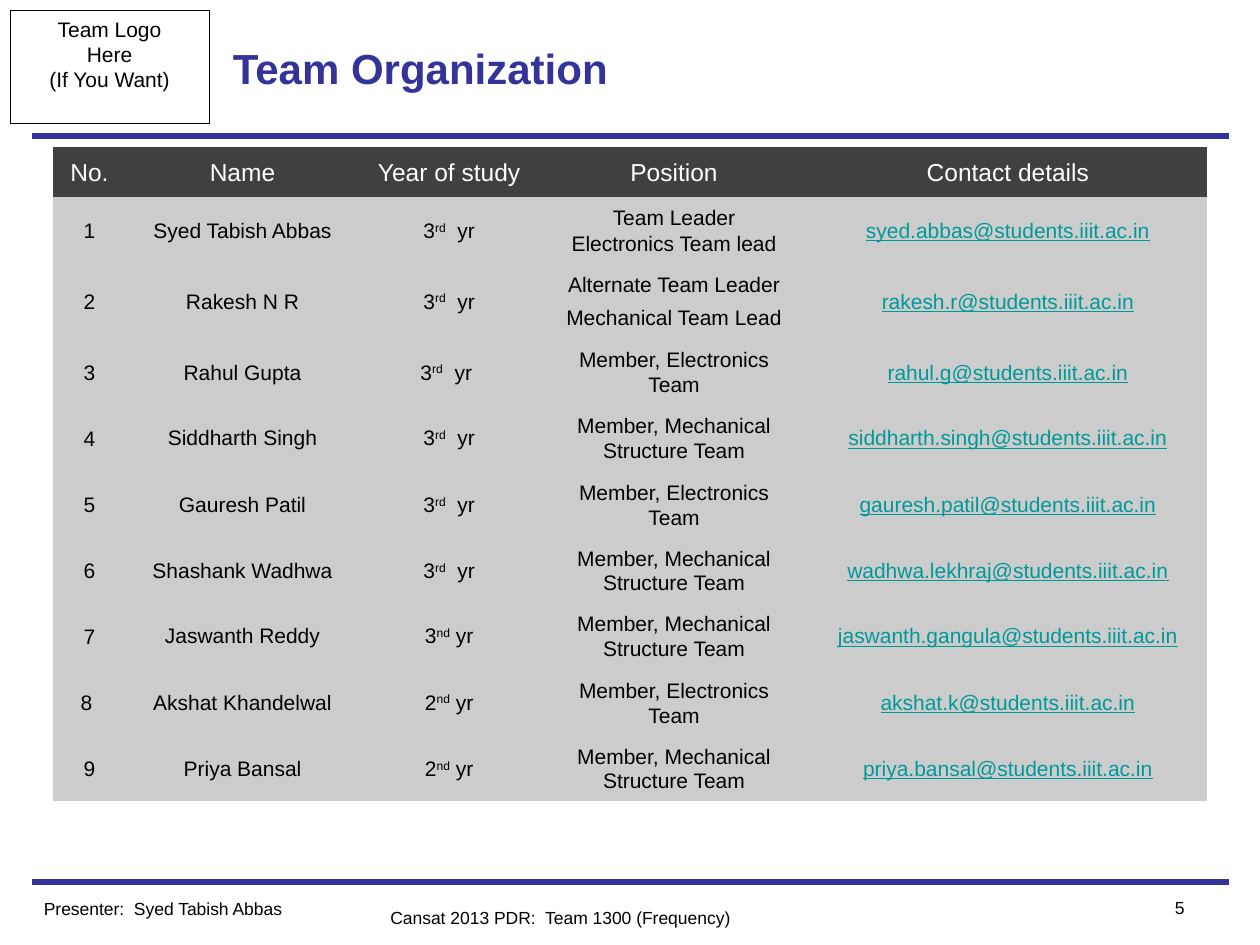
from lxml import etree
from pptx import Presentation
from pptx import util as u
from pptx.dml.color import RGBColor
from pptx.enum import shapes, text
from pptx.oxml.ns import qn

NAVY = RGBColor(0x33, 0x33, 0x99)
BLACK = RGBColor(0x00, 0x00, 0x00)
WHITE = RGBColor(0xFF, 0xFF, 0xFF)
HEADER_GREY = RGBColor(0x40, 0x40, 0x40)
BODY_GREY = RGBColor(0xCC, 0xCC, 0xCC)
LINK_TEAL = RGBColor(0x00, 0x99, 0x99)

CENTER, LEFT, RIGHT = text.PP_ALIGN.CENTER, text.PP_ALIGN.LEFT, text.PP_ALIGN.RIGHT
NORMAL, TIGHT, LOOSE = 1.08, 1.04, 1.39

COLUMN_WIDTHS = [0.58, 1.85, 1.43, 2.14, 3.16]
ROW_HEIGHTS = [0.39, 0.53, 0.59, 0.53, 0.52, 0.53, 0.52, 0.52, 0.52, 0.52]
HEADINGS = ["No.", "Name", "Year of study", "Position", "Contact details"]
ELECTRONICS = "Member, Electronics Team"
MECHANICAL = "Member, Mechanical Structure Team"
# Number, name, year parts, position, mailbox, line spacing
MEMBERS = [
    ("1", "Syed Tabish Abbas", ("3", "rd", "  yr"),
     "Team Leader\nElectronics Team lead", "syed.abbas", NORMAL),
    ("2", "Rakesh N R", ("3", "rd", "  yr"),
     "Alternate Team Leader\nMechanical Team Lead", "rakesh.r", NORMAL),
    ("3", "Rahul Gupta", ("3", "rd", "  yr "), ELECTRONICS, "rahul.g", NORMAL),
    ("4", "Siddharth Singh", ("3", "rd", "  yr"), MECHANICAL, "siddharth.singh", TIGHT),
    ("5", "Gauresh Patil", ("3", "rd", "  yr"), ELECTRONICS, "gauresh.patil", NORMAL),
    ("6", "Shashank Wadhwa", ("3", "rd", "  yr"), MECHANICAL, "wadhwa.lekhraj", TIGHT),
    ("7", "Jaswanth Reddy", ("3", "nd", " yr"), MECHANICAL, "jaswanth.gangula", TIGHT),
    ("8 ", "Akshat Khandelwal", ("2", "nd", " yr"), ELECTRONICS, "akshat.k", TIGHT),
    ("9", "Priya Bansal", ("2", "nd", " yr"), MECHANICAL, "priya.bansal", TIGHT),
]


class SlideBuilder:
    font_name = "Arial"

    def __init__(self, slide):
        self.slide = slide

    def format_text(self, frame, size, color=BLACK, bold=False, align=LEFT,
                    spacing=None, underline=None):
        for paragraph in frame.paragraphs:
            paragraph.alignment = align
            if spacing:
                paragraph.line_spacing = spacing
            for run in paragraph.runs:
                run.font.name = self.font_name
                run.font.size = u.Pt(size)
                run.font.bold = bold
                run.font.underline = underline
                run.font.color.rgb = color

    def rule(self, y):
        line = self.slide.shapes.add_connector(
            shapes.MSO_CONNECTOR.STRAIGHT,
            u.Inches(0.25), u.Inches(y), u.Inches(9.75), u.Inches(y))
        line.line.color.rgb = NAVY
        line.line.width = u.Pt(3)
        etree.SubElement(line._element.spPr, qn("a:effectLst"))

    def box(self, left, top, width, height, content, size):
        shape = self.slide.shapes.add_shape(
            shapes.MSO_SHAPE.RECTANGLE,
            u.Inches(left), u.Inches(top), u.Inches(width), u.Inches(height))
        shape.shadow.inherit = False
        shape.fill.background()
        shape.line.color.rgb = BLACK
        shape.line.width = u.Pt(0.5)
        frame = shape.text_frame
        frame.word_wrap = False
        frame.vertical_anchor = text.MSO_ANCHOR.TOP
        frame.text = content
        self.format_text(frame, size, align=CENTER)

    def label(self, left, top, width, height, content, size,
              anchor=text.MSO_ANCHOR.TOP, **style):
        shape = self.slide.shapes.add_textbox(
            u.Inches(left), u.Inches(top), u.Inches(width), u.Inches(height))
        frame = shape.text_frame
        frame.word_wrap = True
        frame.vertical_anchor = anchor
        frame.text = content
        self.format_text(frame, size, **style)

    def table(self, left, top, widths, heights):
        table = self.slide.shapes.add_table(
            len(heights), len(widths), u.Inches(left), u.Inches(top),
            u.Inches(sum(widths)), u.Inches(sum(heights))).table
        for column, width in zip(table.columns, widths):
            column.width = u.Inches(width)
        for row, height in zip(table.rows, heights):
            row.height = u.Inches(height)
        return table

    def cell(self, cell, content, size, fill, **style):
        cell.vertical_anchor = text.MSO_ANCHOR.MIDDLE
        # White hairline borders go before the fill in the cell properties
        properties = cell._tc.get_or_add_tcPr()
        for side in ("a:lnL", "a:lnR", "a:lnT", "a:lnB"):
            border = etree.SubElement(properties, qn(side), w="381")
            border_fill = etree.SubElement(border, qn("a:solidFill"))
            etree.SubElement(border_fill, qn("a:srgbClr"), val=str(WHITE))
        cell.fill.solid()
        cell.fill.fore_color.rgb = fill
        frame = cell.text_frame
        if isinstance(content, tuple):
            for part in content:
                frame.paragraphs[0].add_run().text = part
            ordinal = frame.paragraphs[0].runs[1]
            ordinal._r.get_or_add_rPr().set("baseline", "30000")
        else:
            frame.text = content
        self.format_text(frame, size, align=CENTER, **style)


def main():
    presentation = Presentation()
    presentation.slide_width = u.Inches(10)
    presentation.slide_height = u.Inches(7.5)
    builder = SlideBuilder(presentation.slides.add_slide(presentation.slide_layouts[6]))

    # Frame and heading
    for y in (7, 1.08):
        builder.rule(y)
    builder.box(0.08, 0.08, 1.58, 0.9, "Team Logo\nHere\n(If You Want)", 12)
    builder.label(1.75, 0.08, 6.5, 0.92, "Team Organization", 24,
                  anchor=text.MSO_ANCHOR.MIDDLE, color=NAVY, bold=True)

    # Team table
    table = builder.table(0.42, 1.17, COLUMN_WIDTHS, ROW_HEIGHTS)
    for column, heading in enumerate(HEADINGS):
        builder.cell(table.cell(0, column), heading, 14, HEADER_GREY,
                     color=WHITE, spacing=NORMAL)
    for row, (number, name, year, position, mailbox, spacing) in enumerate(MEMBERS, 1):
        position_spacing = TIGHT if position == MECHANICAL else NORMAL
        entries = [
            (number, {"spacing": NORMAL}),
            (name, {"spacing": spacing}),
            (year, {"spacing": spacing}),
            (position, {"spacing": position_spacing}),
            (f"{mailbox}@students.iiit.ac.in",
             {"spacing": spacing, "color": LINK_TEAL, "underline": True}),
        ]
        for column, (content, style) in enumerate(entries):
            builder.cell(table.cell(row, column), content, 12, BODY_GREY, **style)
    table.cell(2, 3).text_frame.paragraphs[1].line_spacing = LOOSE

    # Footer
    builder.label(8.75, 7.07, 0.75, 0.27, "5", 10, align=RIGHT)
    builder.label(3, 7.15, 4, 0.27, "Cansat 2013 PDR:  Team 1300 (Frequency)", 10)
    builder.label(0.25, 7.08, 2.5, 0.27, "Presenter:  Syed Tabish Abbas", 10)

    presentation.save("out.pptx")


if __name__ == "__main__":
    main()
